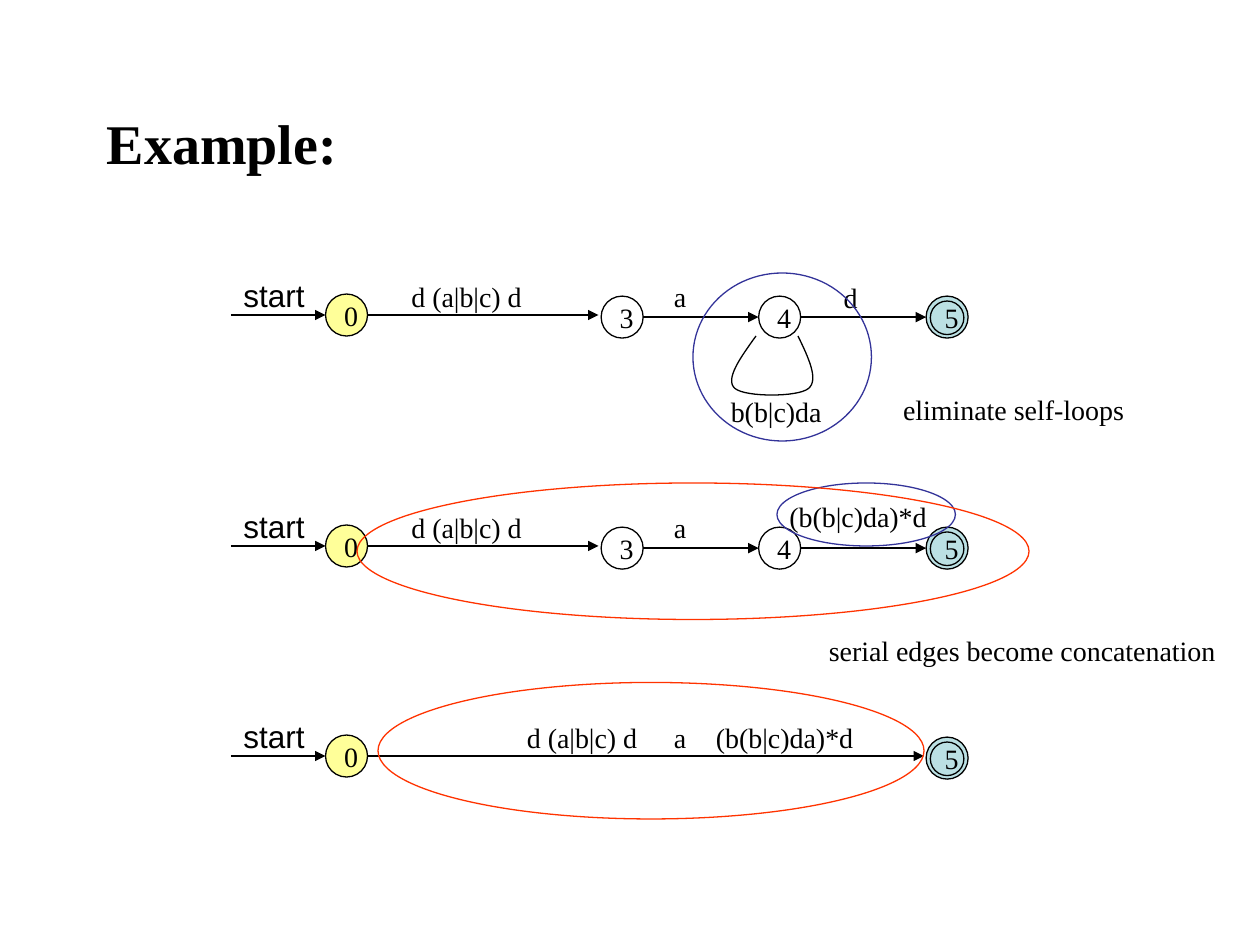
from lxml import etree
from pptx import Presentation
from pptx.dml.color import RGBColor
from pptx.enum.shapes import MSO_CONNECTOR, MSO_SHAPE
from pptx.enum.text import MSO_ANCHOR, PP_ALIGN
from pptx.oxml.ns import qn
from pptx.util import Pt

OVAL = MSO_SHAPE.OVAL
LINE = MSO_CONNECTOR.STRAIGHT
MIDDLE = MSO_ANCHOR.MIDDLE
CENTER = PP_ALIGN.CENTER

BLACK, BLUE, RED = "000000", "333399", "FF3300"
YELLOW, TEAL = "FFFF99", "BBE0E3"
SERIF, SANS = "Times New Roman", "Arial"

SIZE = 24                                     # width of a state
DROP = 1.2                                    # later states sit a little lower
X = {"0": 186, "3": 343.5, "4": 433.5, "5": 529.2}
ROWS = TOP, MID, LOW = 180, 312, 432          # height of each automaton's axis
HEAD, STAR = "d (a|b|c) d", "(b(b|c)da)*d"


def color(code):
    return RGBColor.from_string(code)


def bezier(a, b, c, d, steps=16):
    """Return points along a cubic curve, leaving out its start."""
    points = []
    for i in range(1, steps + 1):
        t = i / steps
        u = 1 - t
        parts = (u ** 3, 3 * u * u * t, 3 * u * t * t, t ** 3)
        points.append(tuple(sum(w * p[k] for w, p in zip(parts, (a, b, c, d)))
                            for k in (0, 1)))
    return points


class Board:
    """Holds the line and text style and the slide being drawn."""
    width = 0.75
    size = 16

    def __init__(self, slide):
        self.slide = slide
        self.shapes = slide.shapes

    def letter(self, frame, text, size=None, font=SERIF, bold=False):
        """Put styled text into a frame."""
        frame.text = text
        style = frame.paragraphs[0].runs[0].font
        style.name, style.size, style.bold = font, Pt(size or self.size), bold
        style.color.rgb = color(BLACK)

    def text(self, x, y, w, h, text, **style):
        frame = self.shapes.add_textbox(Pt(x), Pt(y), Pt(w), Pt(h)).text_frame
        self.letter(frame, text, **style)
        return frame

    def label(self, x, y, w, text, **style):
        self.text(x, y, w, 26.5, text, **style).word_wrap = False

    def edge(self, shape, line):
        shape.line.color.rgb = color(line)
        shape.line.width = Pt(self.width)

    def oval(self, x, y, w, h, line=BLACK, fill=None):
        shape = self.shapes.add_shape(OVAL, Pt(x), Pt(y), Pt(w), Pt(h))
        shape.shadow.inherit = False
        self.edge(shape, line)
        if fill:
            shape.fill.solid()
            shape.fill.fore_color.rgb = color(fill)
        else:
            shape.fill.background()
        return shape

    def state(self, name, y, fill=None):
        frame = self.oval(X[name], y - SIZE / 2, SIZE, SIZE, fill=fill).text_frame
        self.letter(frame, name)
        frame.word_wrap = True
        frame.vertical_anchor = MIDDLE
        frame.paragraphs[0].alignment = CENTER

    def arrow(self, x, end, y):
        wire = self.shapes.add_connector(LINE, Pt(x), Pt(y), Pt(end), Pt(y))
        self.edge(wire, BLACK)
        props = wire._element.spPr
        etree.SubElement(props.find(qn("a:ln")), qn("a:tailEnd"), type="triangle")
        etree.SubElement(props, qn("a:effectLst"))

    def curve(self, start, *bends):
        points, last = [], start
        for bend in bends:
            points += bezier(last, *bend)
            last = bend[-1]
        pen = self.shapes.build_freeform(Pt(start[0]), Pt(start[1]))
        pen.add_line_segments([(Pt(x), Pt(y)) for x, y in points], close=False)
        shape = pen.convert_to_shape()
        shape.shadow.inherit = False
        shape.fill.background()
        self.edge(shape, BLACK)

    def ends(self, y):
        """Draw the start arrow, the first state and the final state."""
        self.arrow(132, X["0"], y)
        self.label(132, y - 26, 49.5, "start", size=18, font=SANS)
        self.state("0", y, YELLOW)
        self.state("5", y + DROP, TEAL)
        self.oval(X["5"] + 2.4, y - 8, 19.2, 19.2)

    def chain(self, y):
        """Draw the two middle states with their arrows."""
        self.arrow(X["0"] + SIZE, 342, y)
        for name, after in ("34", "45"):
            self.state(name, y + DROP)
            self.arrow(X[name] + SIZE, X[after], y + DROP)


def main():
    deck = Presentation()
    deck.slide_width, deck.slide_height = Pt(720), Pt(540)
    board = Board(deck.slides.add_slide(deck.slide_layouts[6]))

    title = board.text(54, 36, 612, 90, "Example:", size=32, bold=True)
    title.word_wrap = True
    title.vertical_anchor = MIDDLE

    for y, x in zip(ROWS, (228, 228, 294)):
        board.ends(y)
        board.label(x, y - 24, 78, HEAD)
        board.label(378, y - 24, 21.5, "a")
    for y in (TOP, MID):
        board.chain(y)
    board.arrow(X["0"] + SIZE, 528, LOW)

    board.label(475, 157, 22.5, "d")
    board.label(410.5, 222, 67, "b(b|c)da")
    board.label(444, 282, 93.5, STAR)
    board.label(402, LOW - 24, 93.5, STAR)
    board.label(509, 221, 142, "eliminate self-loops")
    board.label(466.5, 358.5, 237, "serial edges become concatenation")

    board.curve((456, 192),
                ((462, 204.5), (468, 217), (462, 222)),
                ((456, 227), (426, 227), (420, 222)),
                ((414, 217), (423, 204.5), (432, 192)))

    for x, y, w, h, line in ((396, 156, 102, 96, BLUE), (444, 276, 102, 36, BLUE),
                             (204, 276, 384, 78, RED), (216, 390, 312, 78, RED)):
        board.oval(x, y, w, h, line)

    deck.save("out.pptx")


if __name__ == "__main__":
    main()
